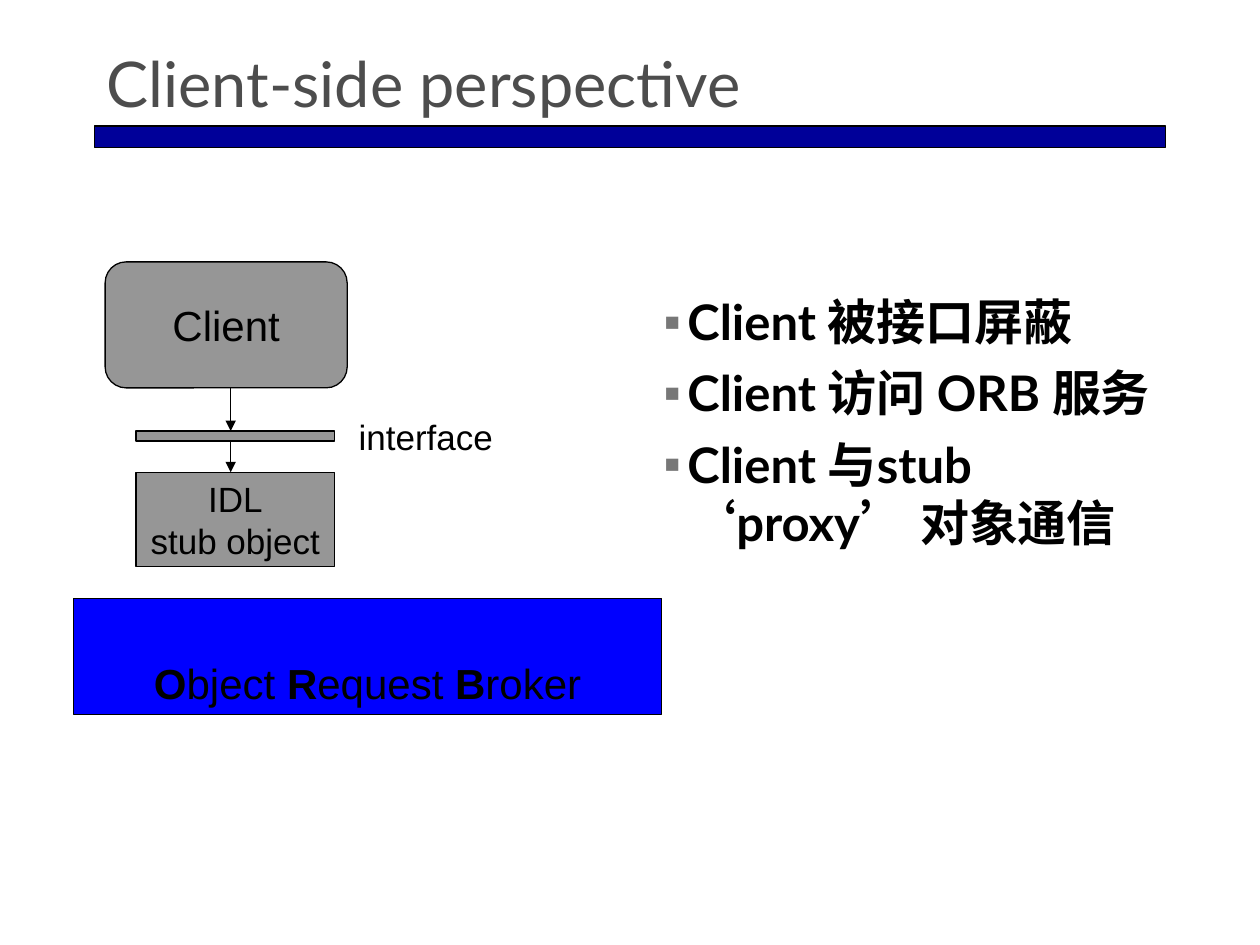
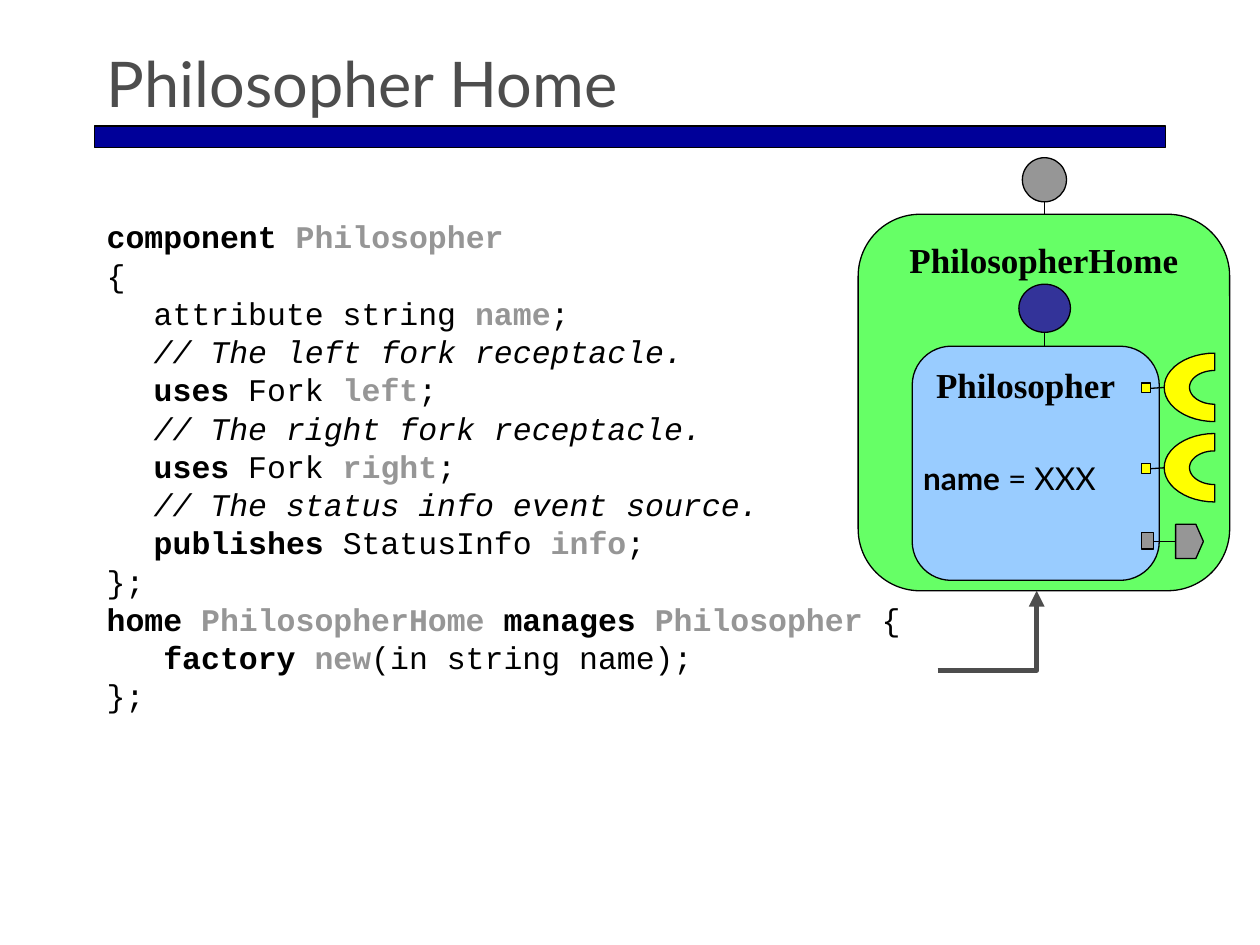
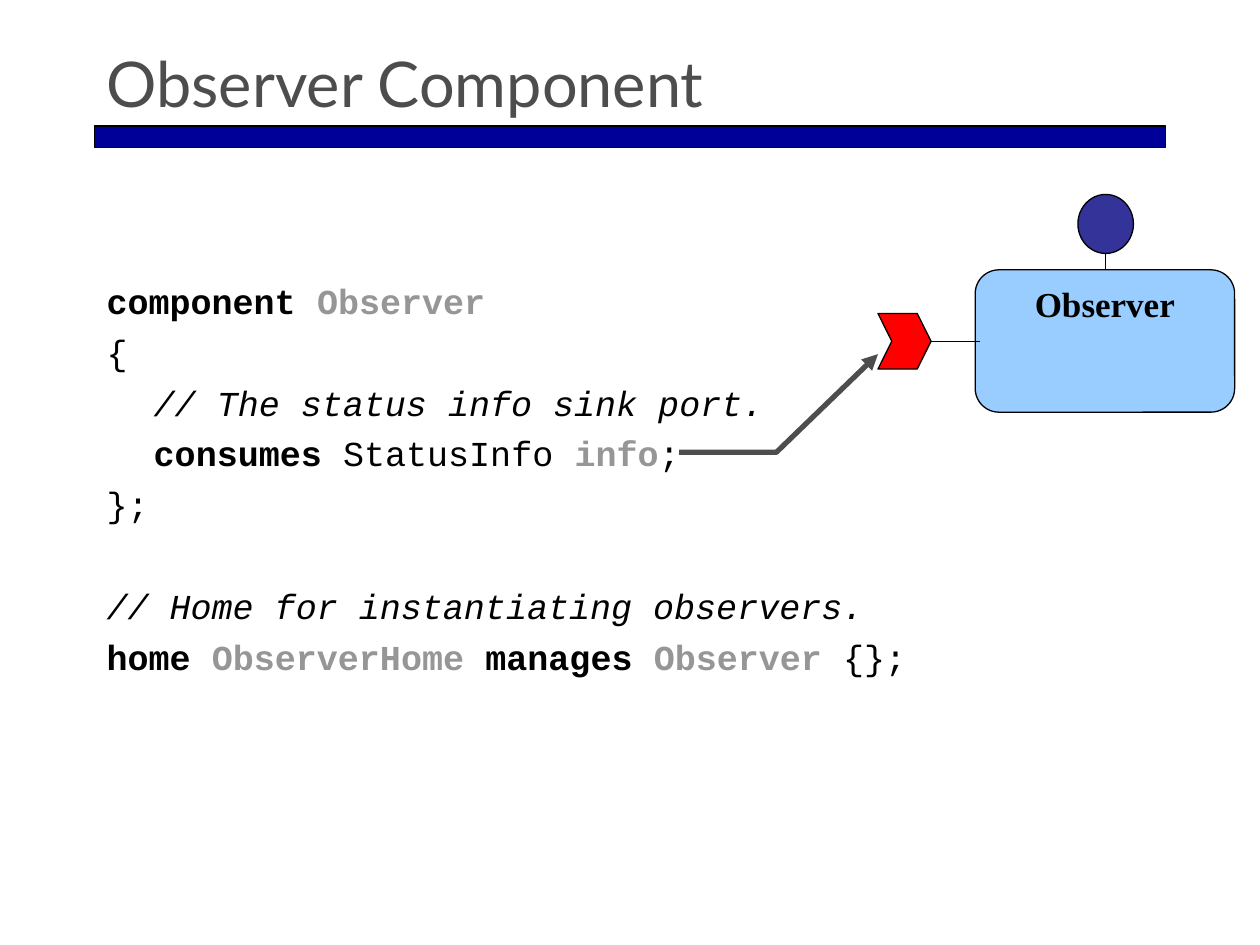
from math import cos, pi, sin

from lxml.etree import SubElement
from pptx import Presentation
from pptx.dml.color import RGBColor as RGB
from pptx.enum.shapes import MSO_CONNECTOR, MSO_SHAPE as Kind
from pptx.enum.text import MSO_ANCHOR as Anchor, PP_ALIGN as Align
from pptx.oxml.ns import qn
from pptx.util import Cm, Pt

COLORS = {
    "black": "000000", "title": "4D4D4D", "band": "000099", "grey": "969696",
    "bullet": "777777", "orb": "0000FF", "home": "66FF66",
    "component": "99CCFF", "facet": "333399", "receptacle": "FFFF00",
    "sink": "FF0000",
}
BAND = (1.9, 2.54, 21.59, 0.43)
TITLE = (1.9, 0.84, 21.59, 1.7)
CODE_LEFT, CODE_WIDTH, CODE_BOTTOM = 1.9, 21.59, 16.93
HANGING = Cm(0.95)


def paint(shape, fill, line="black", width=0.75):
    """Set fill and outline; a fill of None leaves the shape open."""
    shape.shadow.inherit = False
    if fill:
        shape.fill.solid()
        shape.fill.fore_color.rgb = RGB.from_string(COLORS[fill])
    else:
        shape.fill.background()
    shape.line.color.rgb = RGB.from_string(COLORS[line])
    shape.line.width = Pt(width)
    return shape


def write(shape, lines, font, size, color="black", align=Align.LEFT,
          anchor=Anchor.TOP, wrap=False):
    """Write lines of (text, style) runs: b bold, i italic, n bold grey name."""
    frame = shape.text_frame
    frame.word_wrap = wrap
    frame.vertical_anchor = anchor
    for index, runs in enumerate(lines):
        paragraph = frame.paragraphs[0] if index == 0 else frame.add_paragraph()
        paragraph.alignment = align
        for text, style in runs:
            run = paragraph.add_run()
            run.text = text
            run.font.name = "Arial" if style == "quote" else font
            run.font.size = Pt(size)
            run.font.bold = style in ("b", "n", "quote")
            run.font.italic = style == "i"
            run.font.color.rgb = RGB.from_string(
                COLORS["grey" if style == "n" else color])
    return frame.paragraphs


prs = Presentation()
prs.slide_width, prs.slide_height = Cm(25.4), Cm(19.05)

slides = []
for title in ("Client-side perspective", "Philosopher Home", "Observer Component"):
    slide = prs.slides.add_slide(prs.slide_layouts[6])
    paint(slide.shapes.add_shape(Kind.RECTANGLE, *map(Cm, BAND)), "band")
    write(slide.shapes.add_textbox(*map(Cm, TITLE)), [[(title, "")]],
          "Lato", 36, "title", anchor=Anchor.BOTTOM, wrap=True)
    slides.append(slide)
client, philosopher, observer = slides

# Boxes, facets and ports
parts = [
    (client, Kind.ROUNDED_RECTANGLE, (2.12, 5.28, 4.88, 2.54), "grey", None),
    (client, Kind.RECTANGLE, (2.74, 9.52, 4.01, 1.9), "grey", None),
    (client, Kind.RECTANGLE, (1.48, 12.06, 11.86, 2.34), "orb", None),
    (client, Kind.RECTANGLE, (2.74, 8.69, 4.01, 0.2), "grey", None),
    (philosopher, Kind.ROUNDED_RECTANGLE, (17.3, 4.32, 7.49, 7.59), "home", None),
    (philosopher, Kind.ROUNDED_RECTANGLE, (18.39, 6.98, 4.98, 4.72), "component", None),
    (philosopher, Kind.OVAL, (20.61, 3.18, 0.89, 0.89), "grey", None),
    (philosopher, Kind.OVAL, (20.54, 5.73, 1.04, 0.97), "facet", None),
    (philosopher, Kind.RECTANGLE, (23.01, 10.74, 0.25, 0.33), "grey", None),
    (philosopher, Kind.PENTAGON, (23.7, 10.57, 0.56, 0.69), "grey", 0.27),
    (observer, Kind.ROUNDED_RECTANGLE, (19.66, 5.44, 5.23, 2.87), "component", None),
    (observer, Kind.OVAL, (21.73, 3.92, 1.12, 1.19), "facet", None),
    (observer, Kind.CHEVRON, (17.7, 6.32, 1.07, 1.12), "sink", 0.26),
]
drawn = []
for slide, kind, place, fill, adjustment in parts:
    part = paint(slide.shapes.add_shape(kind, *map(Cm, place)), fill)
    if adjustment:
        part.adjustments[0] = adjustment
    drawn.append(part)
client_box, stub_box, orb_box, _, home_box, philosopher_box = drawn[:6]
observer_box = drawn[10]

write(client_box, [[("Client", "")]], "Arial", 24,
      align=Align.CENTER, anchor=Anchor.MIDDLE)
write(stub_box, [[("IDL", "")], [("stub object", "")]], "Arial", 20,
      align=Align.CENTER, anchor=Anchor.MIDDLE)
write(orb_box, [[("O", "b"), ("bject ", ""), ("R", "b"), ("equest ", ""),
                 ("B", "b"), ("roker", "")]], "Arial", 24,
      align=Align.CENTER, anchor=Anchor.BOTTOM)
for box, name, align in ((home_box, "PhilosopherHome", Align.CENTER),
                         (philosopher_box, "Philosopher", Align.LEFT),
                         (observer_box, "Observer", Align.CENTER)):
    write(box, [[(name, "b")]], "Times New Roman", 20, align=align)

write(client.shapes.add_textbox(Cm(6.98), Cm(8.26), Cm(3.23), Cm(1.12)),
      [[("interface", "")]], "Arial", 20)
write(philosopher.shapes.add_textbox(Cm(18.36), Cm(9.12), Cm(4.11), Cm(1)),
      [[("name", "b"), (" = XXX", "")]], "Lato", 18)

# Bullets beside the client diagram
points = client.shapes.add_textbox(Cm(13.13), Cm(5.76), Cm(11.23), Cm(9.5))
bullets = write(points, [
    [("Client 被接口屏蔽", "b")],
    [("Client 访问 ORB 服务", "b")],
    [("Client 与stub ", "b"), ("‘", "quote"), ("proxy", "b"),
     ("’ ", "quote"), ("对象通信", "b")],
], "Lato", 28, wrap=True)
for index, paragraph in enumerate(bullets):
    paragraph.space_before = Pt(7 if index else 0)
    properties = paragraph._p.get_or_add_pPr()
    properties.set("marL", str(Cm(0.48)))
    properties.set("indent", str(-Cm(0.48)))
    bullet_color = SubElement(properties, qn("a:buClr"))
    SubElement(bullet_color, qn("a:srgbClr"), val=COLORS["bullet"])
    SubElement(properties, qn("a:buFont"), typeface="Arial")
    SubElement(properties, qn("a:buChar"), char="▪")

# Interface definitions
philosopher_code = [
    [("component ", "b"), ("Philosopher", "n")],
    [("{", "")],
    [("\tattribute string ", ""), ("name", "n"), (";", "")],
    [("\t", ""), ("// The left fork receptacle.", "i")],
    [("\t", ""), ("uses", "b"), (" Fork ", ""), ("left", "n"), (";", "")],
    [("\t", ""), ("// The right fork receptacle.", "i")],
    [("\t", ""), ("uses", "b"), (" Fork ", ""), ("right", "n"), (";", "")],
    [("\t", ""), ("// The status info event source.", "i")],
    [("\t", ""), ("publishes", "b"), (" StatusInfo ", ""), ("info", "n"), (";", "")],
    [("};", "")],
    [("home ", "b"), ("PhilosopherHome ", "n"), ("manages ", "b"),
     ("Philosopher", "n"), (" {", "")],
    [("   ", ""), ("factory ", "b"), ("new", "n"), ("(in string name);", "")],
    [("};", "")],
]
observer_code = [
    [("component ", "b"), ("Observer", "n")],
    [("{", "")],
    [("\t", ""), ("// The status info sink port.", "i")],
    [("\t", ""), ("consumes", "b"), (" StatusInfo ", ""), ("info", "n"), (";", "")],
    [("};", "")],
    [("// Home for instantiating observers.", "i")],
    [("home ", "b"), ("ObserverHome ", "n"), ("manages ", "b"),
     ("Observer", "n"), (" {};", "")],
]
for slide, code, top, size, pitch, after_gap in (
        (philosopher, philosopher_code, 4.25, 18, 21.85, None),
        (observer, observer_code, 5.33, 20, 29.05, 5)):
    listing = slide.shapes.add_textbox(
        Cm(CODE_LEFT), Cm(top), Cm(CODE_WIDTH), Cm(CODE_BOTTOM - top))
    for index, paragraph in enumerate(write(listing, code, "Courier New", size, wrap=True)):
        paragraph.line_spacing = Pt(pitch)
        paragraph.space_before = Pt(pitch if index == after_gap else 0)
        properties = paragraph._p.get_or_add_pPr()
        properties.set("marL", str(HANGING))
        properties.set("indent", str(-HANGING))

# Wires: start, end, arrowhead
wires = [
    (client, (4.65, 7.82), (4.65, 8.69), True),
    (client, (4.65, 8.89), (4.65, 9.52), True),
    (philosopher, (21.05, 4.32), (21.05, 4.07), False),
    (philosopher, (21.06, 6.98), (21.06, 6.7), False),
    (philosopher, (23.7, 10.92), (23.26, 10.92), False),
    (observer, (19.76, 6.88), (18.77, 6.88), False),
    (observer, (22.28, 5.44), (22.28, 5.11), False),
]

# Fork receptacles: a socket and a half ring that opens to the right
half_turn = [pi / 2 + pi * step / 24 for step in range(25)]
for y in (7.81, 9.43):
    paint(philosopher.shapes.add_shape(
        Kind.RECTANGLE, Cm(23.01), Cm(y - 0.09), Cm(0.18), Cm(0.2)), "receptacle")
    outer = [(Cm(24.49 + 1.02 * cos(a)), Cm(y + 0.69 * sin(a))) for a in half_turn]
    inner = [(Cm(24.49 + 0.51 * cos(a)), Cm(y + 0.34 * sin(a))) for a in half_turn]
    ring = philosopher.shapes.build_freeform(*outer[0])
    ring.add_line_segments(outer[1:] + inner[::-1], close=True)
    paint(ring.convert_to_shape(), "receptacle")
    wires.append((philosopher, (23.47, y), (23.19, y + 0.02), False))

for slide, start, end, arrow in wires:
    wire = slide.shapes.add_connector(MSO_CONNECTOR.STRAIGHT, *map(Cm, start + end))
    wire.line.color.rgb = RGB.from_string(COLORS["black"])
    wire.line.width = Pt(0.75)
    outline = wire._element.spPr
    SubElement(outline, qn("a:effectLst"))
    if arrow:
        SubElement(outline.find(qn("a:ln")), qn("a:tailEnd"), type="triangle")

# Bent arrows from the code to the diagram
for slide, corners in (
        (philosopher, [(18.9, 13.51), (20.9, 13.51), (20.9, 11.91)]),
        (observer, [(13.69, 9.12), (15.65, 9.12), (17.7, 7.14)])):
    start, *rest = [(Cm(x), Cm(y)) for x, y in corners]
    bend = slide.shapes.build_freeform(*start)
    bend.add_line_segments(rest, close=False)
    pointer = paint(bend.convert_to_shape(), None, "title", 3)
    SubElement(pointer._element.spPr.find(qn("a:ln")), qn("a:tailEnd"), type="triangle")

prs.save("out.pptx")
